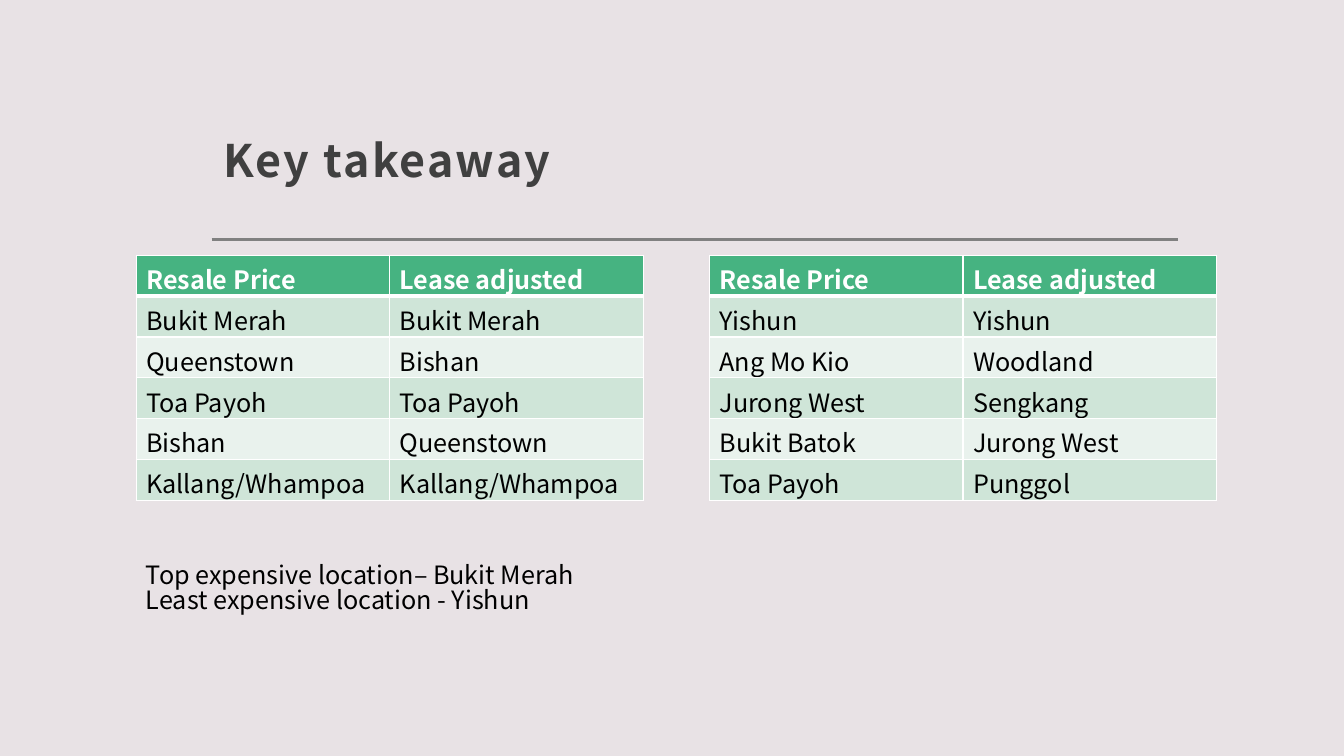
"""Build the key takeaway slide with two town ranking tables."""
from lxml.etree import SubElement
from pptx import Presentation
from pptx.dml.color import RGBColor
from pptx.enum.shapes import MSO_CONNECTOR
from pptx.enum.text import MSO_ANCHOR, MSO_AUTO_SIZE
from pptx.oxml.ns import qn
from pptx.util import Cm, Pt

FONT = "Noto Sans CJK JP"
BACKGROUND = RGBColor(0xE8, 0xE2, 0xE5)
TITLE_GRAY = RGBColor(0x40, 0x40, 0x40)
RULE_GRAY = RGBColor(0x80, 0x80, 0x80)
HEADER_GREEN = RGBColor(0x46, 0xB3, 0x81)
BAND_GREENS = [RGBColor(0xE9, 0xF2, 0xED), RGBColor(0xCF, 0xE5, 0xD8)]
WHITE = RGBColor(0xFF, 0xFF, 0xFF)
BLACK = RGBColor(0x00, 0x00, 0x00)

HEADER = ("Resale Price", "Lease adjusted")
MOST_EXPENSIVE = [
    HEADER,
    ("Bukit Merah", "Bukit Merah"),
    ("Queenstown", "Bishan"),
    ("Toa Payoh", "Toa Payoh"),
    ("Bishan", "Queenstown"),
    ("Kallang/Whampoa", "Kallang/Whampoa"),
]
LEAST_EXPENSIVE = [
    HEADER,
    ("Yishun", "Yishun"),
    ("Ang Mo Kio", "Woodland"),
    ("Jurong West", "Sengkang"),
    ("Bukit Batok", "Jurong West"),
    ("Toa Payoh", "Punggol"),
]
CONCLUSIONS = [
    "Top expensive location– Bukit Merah",
    "Least expensive location - Yishun",
]


def style_text(paragraph, size, color, bold=False):
    font = paragraph.font
    font.name, font.size, font.bold = FONT, Pt(size), bold
    font.color.rgb = color


def add_borders(cell, bottom_width, top_width):
    properties = cell._tc.get_or_add_tcPr()
    widths = {"a:lnL": 1, "a:lnR": 1, "a:lnT": top_width, "a:lnB": bottom_width}
    for tag, width in widths.items():
        line = SubElement(properties, qn(tag), w=str(Pt(width)))
        fill = SubElement(line, qn("a:solidFill"))
        SubElement(fill, qn("a:srgbClr"), val=str(WHITE))


presentation = Presentation()
presentation.slide_width, presentation.slide_height = Cm(33.87), Cm(19.05)
slide = presentation.slides.add_slide(presentation.slide_layouts[6])
slide.background.fill.solid()
slide.background.fill.fore_color.rgb = BACKGROUND

rule = slide.shapes.add_connector(
    MSO_CONNECTOR.STRAIGHT, Cm(5.33), Cm(6.04), Cm(29.69), Cm(6.04))
rule.line.color.rgb = RULE_GRAY
rule.line.width = Pt(2)
SubElement(rule._element.spPr, qn("a:effectLst"))

title = slide.shapes.add_textbox(Cm(5.33), Cm(1.22), Cm(24.36), Cm(3.73))
title_frame = title.text_frame
title_frame.word_wrap = True
title_frame.vertical_anchor = MSO_ANCHOR.BOTTOM
title_frame.margin_left = title_frame.margin_right = title_frame.margin_top = Cm(0.3)
title_frame.margin_bottom = Cm(0.25)
title_paragraph = title_frame.paragraphs[0]
title_run = title_paragraph.add_run()
title_run.text = "Key takeaway"
title_run._r.get_or_add_rPr().set("spc", "150")
title_paragraph.line_spacing = 1.3
style_text(title_paragraph, 32, TITLE_GRAY, bold=True)

for left, towns in [(3.43, MOST_EXPENSIVE), (17.88, LEAST_EXPENSIVE)]:
    table = slide.shapes.add_table(
        len(towns), len(HEADER), Cm(left), Cm(6.43), Cm(12.78), Cm(6.18)).table
    for row, names in enumerate(towns):
        for column, name in enumerate(names):
            cell = table.cell(row, column)
            cell.text = name
            is_header = row == 0
            add_borders(cell, 3 if is_header else 1, 3 if row == 1 else 1)
            cell.fill.solid()
            cell.fill.fore_color.rgb = HEADER_GREEN if is_header else BAND_GREENS[row % 2]
            style_text(cell.text_frame.paragraphs[0], 18,
                       WHITE if is_header else BLACK, is_header)

conclusion = slide.shapes.add_textbox(Cm(3.43), Cm(14.1), Cm(11.94), Cm(1.8))
conclusion_frame = conclusion.text_frame
conclusion_frame.word_wrap = False
conclusion_frame.auto_size = MSO_AUTO_SIZE.SHAPE_TO_FIT_TEXT
conclusion_frame.text = "\n".join(CONCLUSIONS)
for paragraph in conclusion_frame.paragraphs:
    paragraph.line_spacing = 0.82
    style_text(paragraph, 18, BLACK)

presentation.save("out.pptx")
